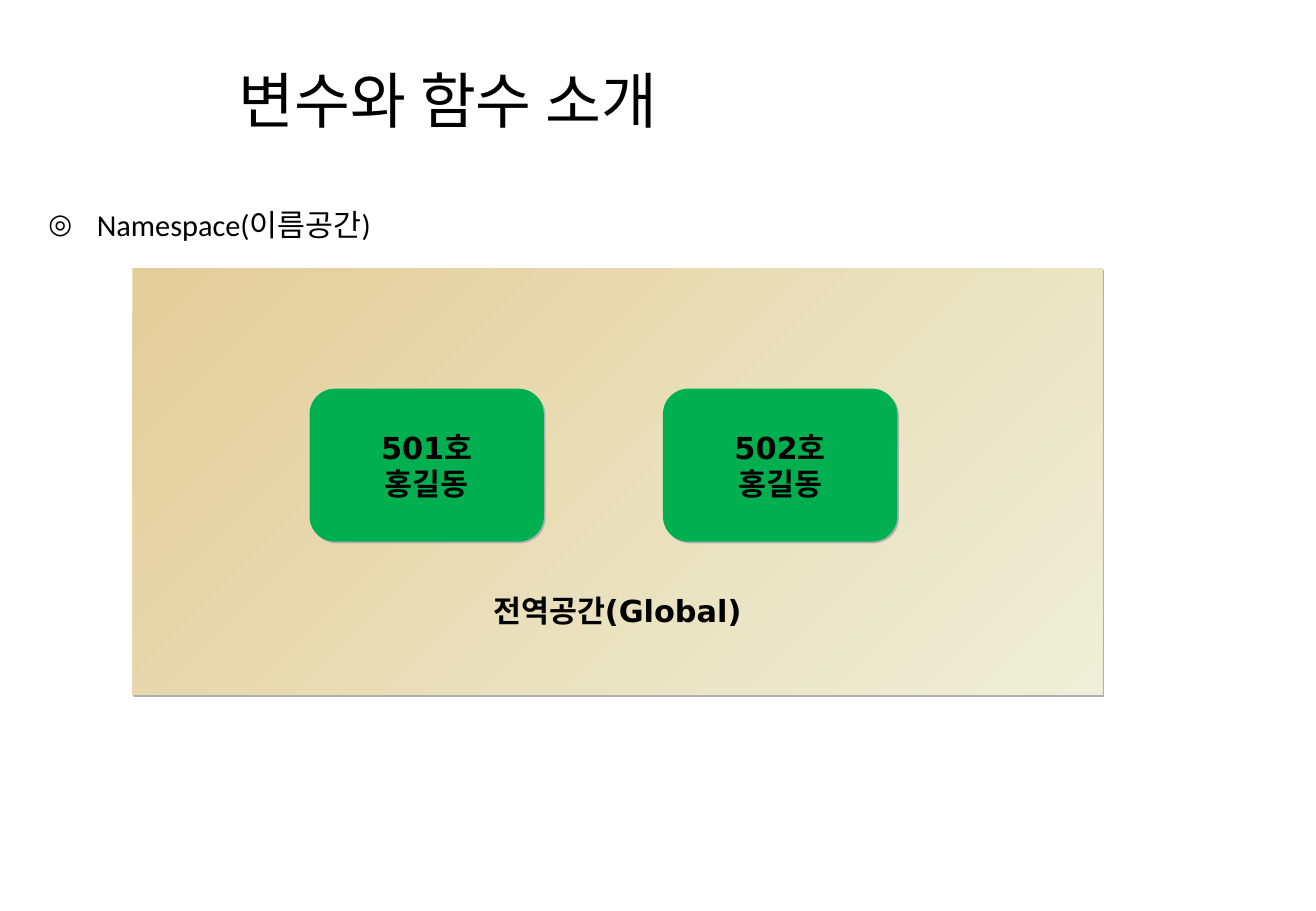
from dataclasses import dataclass

import pptx
import pptx.dml.color
import pptx.enum.shapes
import pptx.enum.text
import pptx.oxml
import pptx.oxml.ns
import pptx.util
from lxml import etree

Pt = pptx.util.Pt
RGBColor = pptx.dml.color.RGBColor
Shapes = pptx.enum.shapes.MSO_SHAPE
Align = pptx.enum.text.PP_ALIGN
Anchor = pptx.enum.text.MSO_ANCHOR
qn = pptx.oxml.ns.qn

BLACK = RGBColor(0x00, 0x00, 0x00)
SAND = RGBColor(0xE4, 0xCD, 0x9A)
PALE = RGBColor(0xEE, 0xEF, 0xD7)
GREEN = RGBColor(0x00, 0xB0, 0x50)
SHADOW = RGBColor(0xAF, 0xAF, 0xAF)
NAMESPACE = "http://schemas.openxmlformats.org/drawingml/2006/main"

TITLE_FONT = {"name": "Noto Sans CJK KR", "size": Pt(36)}
TOPIC_FONT = {"name": "Calibri", "size": Pt(18)}
LABEL_FONT = {"name": "DejaVu Sans", "size": Pt(18), "bold": True}
LABEL_PARA = {"alignment": Align.CENTER}


@dataclass
class Area:
    left: float
    top: float
    width: float
    height: float

    def lengths(self) -> list:
        return [Pt(value) for value in (self.left, self.top, self.width, self.height)]


@dataclass
class Room:
    area: Area
    lines: list[str]


ROOM_LEFT, ROOM_STEP = 183.6, 209.6
ROOMS = [
    Room(Area(ROOM_LEFT + index * ROOM_STEP, 230.4, 139, 90.7), [number, "홍길동"])
    for index, number in enumerate(["501호", "502호"])
]


def apply(target, values: dict) -> None:
    for name, value in values.items():
        setattr(target, name, value)


def write_lines(box, lines: list[str], font: dict, para_format: dict, frame_format: dict) -> None:
    frame = box.text_frame
    apply(frame, {"word_wrap": True, **frame_format})
    for index, line in enumerate(lines):
        para = frame.add_paragraph() if index else frame.paragraphs[0]
        apply(para, para_format)
        span = para.add_run()
        span.text = line
        apply(span.font, font)
        span.font.color.rgb = BLACK


def add_text(page, area: Area, text: str, font: dict, para_format: dict):
    box = page.shapes.add_textbox(*area.lengths())
    write_lines(box, [text], font, para_format, {})
    return box


def add_bullet(para, character: str, indent: float) -> None:
    properties = para._p.get_or_add_pPr()
    properties.set("marL", str(Pt(indent)))
    properties.set("indent", str(-Pt(indent)))
    for markup in (
        f'<a:buClr xmlns:a="{NAMESPACE}"><a:srgbClr val="{BLACK}"/></a:buClr>',
        f'<a:buSzPct xmlns:a="{NAMESPACE}" val="90000"/>',
        f'<a:buFont xmlns:a="{NAMESPACE}" typeface="Calibri"/>',
        f'<a:buChar xmlns:a="{NAMESPACE}" char="{character}"/>',
    ):
        properties.append(pptx.oxml.parse_xml(markup))


def add_panel(page, kind, area: Area, lines: list[str], frame_format: dict):
    panel = page.shapes.add_shape(kind, *area.lengths())
    panel.line.fill.background()
    panel.shadow.inherit = False
    effects = panel._element.spPr.find(qn("a:effectLst"))
    shadow = etree.SubElement(
        effects, qn("a:outerShdw"), dist=str(Pt(1.4)), dir="2700000", algn="ctr", rotWithShape="0"
    )
    etree.SubElement(shadow, qn("a:srgbClr"), val=str(SHADOW))
    margins = {"margin_left": Pt(14.4), "margin_right": Pt(14.4)}
    write_lines(panel, lines, LABEL_FONT, LABEL_PARA, {**margins, **frame_format})
    return panel


def main() -> None:
    deck = pptx.Presentation()
    deck.slide_width = Pt(780.48)
    deck.slide_height = Pt(540)
    page = deck.slides.add_slide(deck.slide_layouts[6])

    topic = add_text(
        page, Area(21.6, 114.5, 702.7, 328.3), "Namespace(이름공간)", TOPIC_FONT, {"line_spacing": 1.2}
    )
    add_bullet(topic.text_frame.paragraphs[0], "◎", 28.8)
    add_text(
        page, Area(134.6, 40.3, 589.7, 43.9), "변수와 함수 소개", TITLE_FONT, {"line_spacing": 0.85}
    )

    global_space = add_panel(
        page, Shapes.RECTANGLE, Area(78.5, 159.1, 575.3, 252.7), ["전역공간(Global)"],
        {"vertical_anchor": Anchor.BOTTOM, "margin_bottom": Pt(39)},
    )
    global_space.fill.gradient()
    global_space.fill.gradient_angle = 315
    for stop, (position, colour) in zip(global_space.fill.gradient_stops, [(0, SAND), (1, PALE)]):
        stop.position = position
        stop.color.rgb = colour

    for room in ROOMS:
        panel = add_panel(
            page, Shapes.ROUNDED_RECTANGLE, room.area, room.lines, {"vertical_anchor": Anchor.MIDDLE}
        )
        panel.fill.solid()
        panel.fill.fore_color.rgb = GREEN

    deck.save("out.pptx")


if __name__ == "__main__":
    main()
